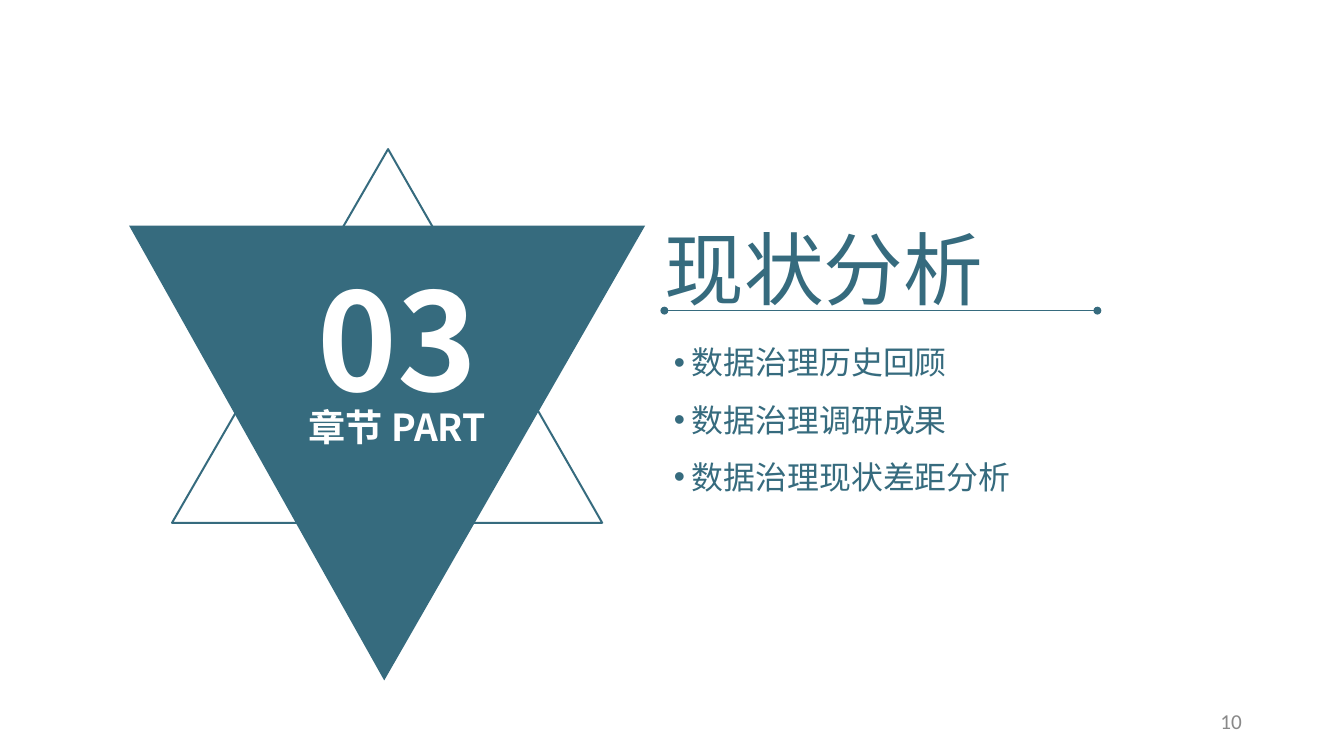
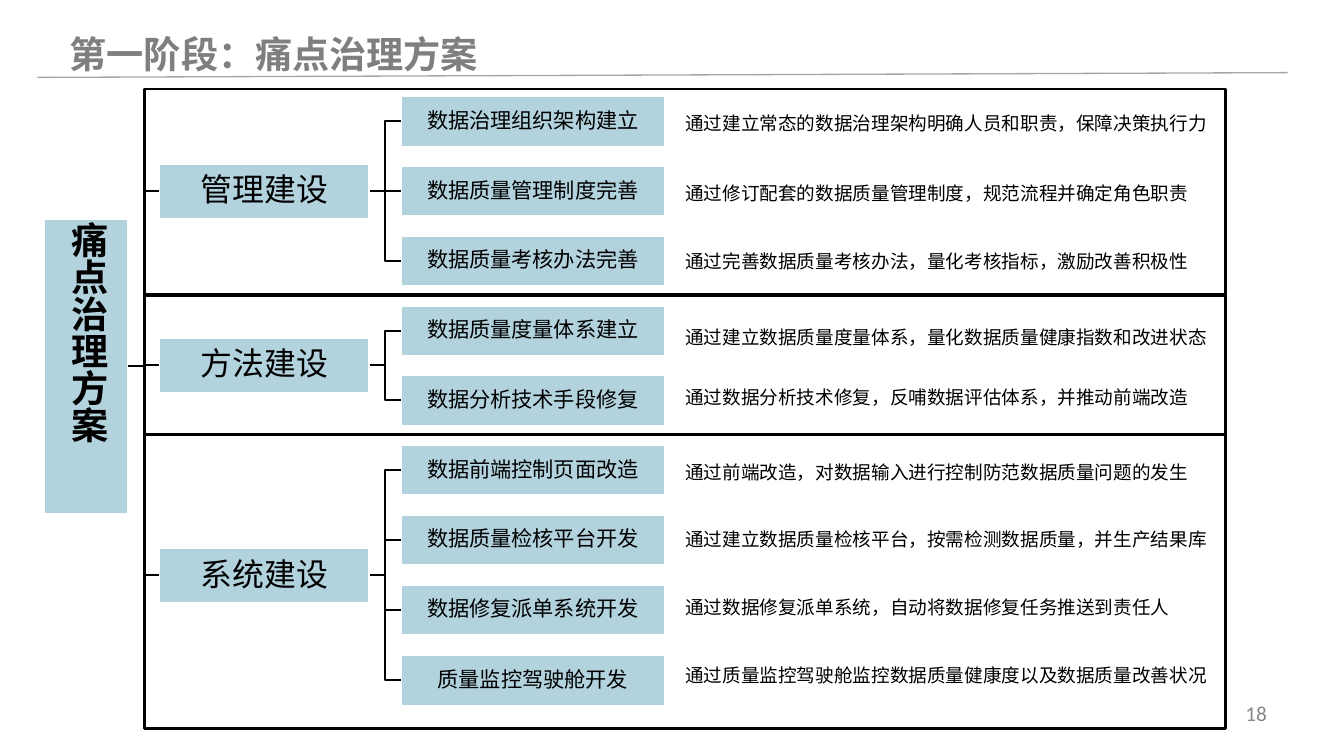
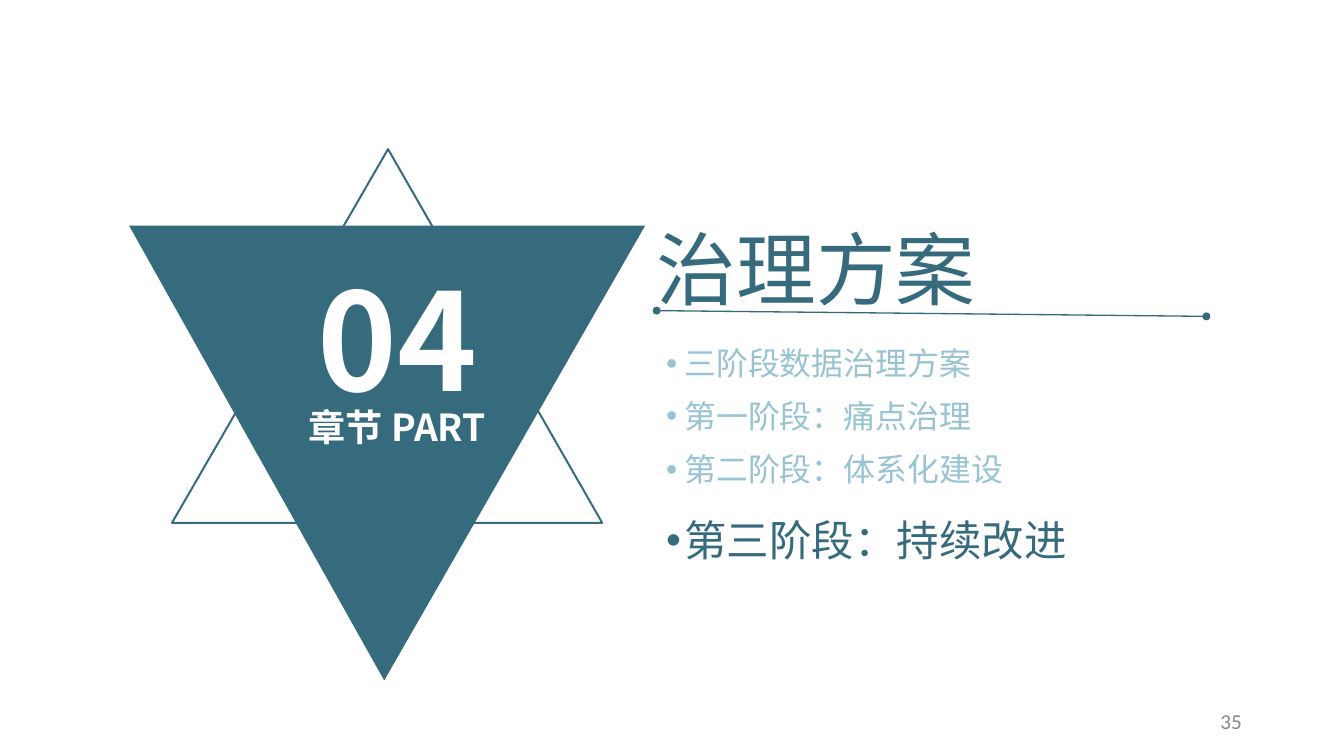
from dataclasses import dataclass
from typing import Any

from lxml import etree
from pptx import Presentation
from pptx import util as u
from pptx.dml.color import RGBColor
from pptx.enum import shapes, text
from pptx.oxml.ns import qn

PX = 9144
SLIDE_W, SLIDE_H = 1406, 791
CJK, LATIN = "Noto Sans CJK SC", "Calibri"

TEAL = RGBColor(0x36, 0x6B, 0x7E)
PALE_TEAL = RGBColor(0x97, 0xC3, 0xD3)
BOX_BLUE = RGBColor(0xB2, 0xD2, 0xDE)
WHITE = RGBColor(0xFF, 0xFF, 0xFF)
BLACK = RGBColor(0x00, 0x00, 0x00)
TITLE_GREY = RGBColor(0x7F, 0x7F, 0x7F)
NUMBER_GREY = RGBColor(0x89, 0x89, 0x89)
RULE_GREY = RGBColor(0xA6, 0xA6, 0xA6)

LEFT, CENTER, RIGHT = text.PP_ALIGN.LEFT, text.PP_ALIGN.CENTER, text.PP_ALIGN.RIGHT
TOP, MIDDLE = text.MSO_ANCHOR.TOP, text.MSO_ANCHOR.MIDDLE

Point = tuple[int, int]


@dataclass(frozen=True)
class Box:
    x: int
    y: int
    w: int
    h: int

    def emu(self) -> tuple[int, int, int, int]:
        return self.x * PX, self.y * PX, self.w * PX, self.h * PX


@dataclass(frozen=True)
class Bullet:
    label: str
    size: int = 24
    color: RGBColor = TEAL


@dataclass(frozen=True)
class BulletBox:
    y: int
    h: int
    bullets: list[Bullet]


@dataclass(frozen=True)
class Section:
    number: str
    title: str
    x: int
    rule_end: Point
    lists: list[BulletBox]
    page: str


@dataclass(frozen=True)
class Measure:
    name: str
    note: str
    note_mid: int


@dataclass(frozen=True)
class Branch:
    name: str
    frame_y: int
    frame_h: int
    measures: list[Measure]


SECTIONS = [
    Section("03", "现状分析", 695, (1148, 325), [
        BulletBox(334, 232, [Bullet("数据治理历史回顾"), Bullet("数据治理调研成果"),
                             Bullet("数据治理现状差距分析")]),
    ], "10"),
    Section("04", "治理方案", 687, (1262, 331), [
        BulletBox(335, 212, [Bullet("三阶段数据治理方案", color=PALE_TEAL)]),
        BulletBox(390, 64, [Bullet("第一阶段：痛点治理", color=PALE_TEAL)]),
        BulletBox(446, 151, [Bullet("第二阶段：体系化建设", color=PALE_TEAL),
                             Bullet("第三阶段：持续改进", size=32)]),
    ], "35"),
]

BRANCHES = [
    Branch("管理建设", 93, 215, [
        Measure("数据治理组织架构建立", "通过建立常态的数据治理架构明确人员和职责，保障决策执行力", 128),
        Measure("数据质量管理制度完善", "通过修订配套的数据质量管理制度，规范流程并确定角色职责", 202),
        Measure("数据质量考核办法完善", "通过完善数据质量考核办法，量化考核指标，激励改善积极性", 273),
    ]),
    Branch("方法建设", 309, 146, [
        Measure("数据质量度量体系建立", "通过建立数据质量度量体系，量化数据质量健康指数和改进状态", 352),
        Measure("数据分析技术手段修复", "通过数据分析技术修复，反哺数据评估体系，并推动前端改造", 415),
    ]),
    Branch("系统建设", 455, 307, [
        Measure("数据前端控制页面改造", "通过前端改造，对数据输入进行控制防范数据质量问题的发生", 493),
        Measure("数据质量检核平台开发", "通过建立数据质量检核平台，按需检测数据质量，并生产结果库", 564),
        Measure("数据修复派单系统开发", "通过数据修复派单系统，自动将数据修复任务推送到责任人", 635),
        Measure("质量监控驾驶舱开发", "通过质量监控驾驶舱监控数据质量健康度以及数据质量改善状况", 706),
    ]),
]

ROOT = Box(46, 230, 88, 307)
BRANCH_X, BRANCH_W, BRANCH_H = 167, 219, 57
MEASURE_X, MEASURE_W, MEASURE_H = 420, 275, 52
FIRST_MEASURE, LAST_MEASURE, MEASURE_GAPS = 101, 686, 8
NOTE_X, NOTE_W, NOTE_H = 707, 571, 55
FRAME_X, FRAME_W = 151, 1131


def write(p: Any, content: str, *, size: int, color: RGBColor, bold: bool = False,
          font: str = CJK, align: Any = LEFT, spacing: float = 1.0) -> None:
    p.alignment = align
    p.line_spacing = spacing
    r = p.add_run()
    r.text = content
    r.font.size = u.Pt(size)
    r.font.bold = bold
    r.font.name = font
    r.font.color.rgb = color
    ea = etree.SubElement(r.font._element, qn("a:ea"))
    ea.set("typeface", font)


def set_frame(tf: Any, *, inset: int | None = None, anchor: Any = TOP, grow: bool = False) -> None:
    tf.word_wrap = True
    tf.vertical_anchor = anchor
    if grow:
        tf.auto_size = text.MSO_AUTO_SIZE.SHAPE_TO_FIT_TEXT
    if inset is not None:
        tf.margin_left = tf.margin_right = tf.margin_top = tf.margin_bottom = inset * PX


def add_text(s: Any, box: Box, content: str, *, inset: int | None = None, anchor: Any = TOP,
             grow: bool = False, **fmt: Any) -> None:
    tf = s.shapes.add_textbox(*box.emu()).text_frame
    set_frame(tf, inset=inset, anchor=anchor, grow=grow)
    write(tf.paragraphs[0], content, **fmt)


def add_heading(s: Any, box: Box, content: str, **fmt: Any) -> None:
    add_text(s, box, content, inset=0, grow=True, **fmt)


def add_page_number(s: Any, box: Box, page: str) -> None:
    add_text(s, box, page, anchor=MIDDLE, size=16, color=NUMBER_GREY, font=LATIN, align=RIGHT)


def add_bullets(s: Any, box: Box, bullets: list[Bullet]) -> None:
    tf = s.shapes.add_textbox(*box.emu()).text_frame
    set_frame(tf, grow=True)
    for i, bullet in enumerate(bullets):
        p = tf.add_paragraph() if i else tf.paragraphs[0]
        write(p, bullet.label, size=bullet.size, color=bullet.color, spacing=1.5)
        p.level = 1
        props = p._p.get_or_add_pPr()
        props.set("marL", str(19 * PX))
        props.set("indent", str(-19 * PX))
        etree.SubElement(props, qn("a:buFont")).set("typeface", "Arial")
        etree.SubElement(props, qn("a:buChar")).set("char", "•")


def add_line(s: Any, start: Point, end: Point, color: RGBColor, width: float = 1,
             elbow: bool = False, dots: bool = False) -> None:
    kind = shapes.MSO_CONNECTOR.ELBOW if elbow else shapes.MSO_CONNECTOR.STRAIGHT
    line = s.shapes.add_connector(kind, *(v * PX for v in start + end))
    line.line.color.rgb = color
    line.line.width = u.Pt(width)
    if dots:
        ln = line.line._get_or_add_ln()
        for tag in ("a:headEnd", "a:tailEnd"):
            etree.SubElement(ln, qn(tag)).set("type", "oval")
    etree.SubElement(line._element.spPr, qn("a:effectLst"))


def style(sp: Any, fill: RGBColor | None, line: RGBColor | None, width: float = 1) -> None:
    sp.shadow.inherit = False
    if fill is None:
        sp.fill.background()
    else:
        sp.fill.solid()
        sp.fill.fore_color.rgb = fill
    if line is None:
        sp.line.fill.background()
    else:
        sp.line.color.rgb = line
        sp.line.width = u.Pt(width)


def add_rect(s: Any, box: Box, fill: RGBColor | None, line: RGBColor, width: float = 1) -> Any:
    sp = s.shapes.add_shape(shapes.MSO_SHAPE.RECTANGLE, *box.emu())
    style(sp, fill, line, width)
    return sp


def add_node(s: Any, box: Box, label: str, *, inset: int = 2, vertical: bool = False,
             **fmt: Any) -> None:
    tf = add_rect(s, box, BOX_BLUE, WHITE).text_frame
    set_frame(tf, inset=inset, anchor=MIDDLE)
    if vertical:
        tf._txBody.bodyPr.set("vert", "eaVert")
    write(tf.paragraphs[0], label, color=BLACK, spacing=0.9, **fmt)


def add_triangle(s: Any, corners: list[Point], fill: RGBColor | None,
                 line: RGBColor | None) -> None:
    builder = s.shapes.build_freeform(*corners[0], scale=PX)
    builder.add_line_segments(corners[1:], close=True)
    style(builder.convert_to_shape(), fill, line, 1.5)


def add_branch_line(s: Any, start: Point, end: Point) -> None:
    add_line(s, start, end, BLACK, 1.5, elbow=start[1] != end[1])


def draw_section(s: Any, section: Section) -> None:
    add_triangle(s, [(135, 236), (675, 236), (402, 712)], TEAL, None)
    add_triangle(s, [(406, 156), (630, 547), (180, 547)], None, TEAL)
    add_heading(s, Box(323, 268, 185, 172), section.number, size=102, color=WHITE,
                bold=True, align=CENTER)
    add_line(s, (section.x, 325), section.rule_end, TEAL, dots=True)
    add_heading(s, Box(226, 423, 379, 47), "章节 PART", size=28, color=WHITE,
                bold=True, align=CENTER)
    add_heading(s, Box(section.x, 230, 489, 101), section.title, size=60, color=TEAL)
    for item in section.lists:
        add_bullets(s, Box(section.x, item.y, 489, item.h), item.bullets)
    add_page_number(s, Box(993, 733, 316, 42), section.page)


def draw_plan(s: Any) -> None:
    add_line(s, (39, 81), (1347, 76), RULE_GREY)
    add_page_number(s, Box(1286, 725, 49, 42), "18")
    add_heading(s, Box(73, 33, 465, 47), "第一阶段：痛点治理方案", size=28,
                color=TITLE_GREY, bold=True, anchor=MIDDLE)
    root_mid = ROOT.y + ROOT.h // 2
    add_node(s, ROOT, "痛点治理方案", vertical=True, size=28, bold=True)
    index = 0
    for branch in BRANCHES:
        tops = [FIRST_MEASURE + (LAST_MEASURE - FIRST_MEASURE) * i // MEASURE_GAPS
                for i in range(index, index + len(branch.measures))]
        index += len(tops)
        mid = (tops[0] + tops[-1] + MEASURE_H) // 2
        add_branch_line(s, (ROOT.x + ROOT.w, root_mid), (BRANCH_X, mid))
        for measure, top in zip(branch.measures, tops):
            measure_mid = top + MEASURE_H // 2
            add_branch_line(s, (BRANCH_X + BRANCH_W, mid), (MEASURE_X, measure_mid))
            add_node(s, Box(MEASURE_X, top, MEASURE_W, MEASURE_H), measure.name,
                     inset=1, size=16, align=CENTER)
            add_text(s, Box(NOTE_X, measure.note_mid - NOTE_H // 2, NOTE_W, NOTE_H),
                     measure.note, anchor=MIDDLE, size=14, color=BLACK)
        add_node(s, Box(BRANCH_X, mid - BRANCH_H // 2, BRANCH_W, BRANCH_H), branch.name,
                 size=24, align=CENTER)
        add_rect(s, Box(FRAME_X, branch.frame_y, FRAME_W, branch.frame_h), None, BLACK, 2)


def main() -> None:
    prs = Presentation()
    prs.slide_width, prs.slide_height = SLIDE_W * PX, SLIDE_H * PX
    first, plan, last = (prs.slides.add_slide(prs.slide_layouts[6]) for _ in range(3))
    draw_section(first, SECTIONS[0])
    draw_plan(plan)
    draw_section(last, SECTIONS[1])
    prs.save("out.pptx")


if __name__ == "__main__":
    main()
